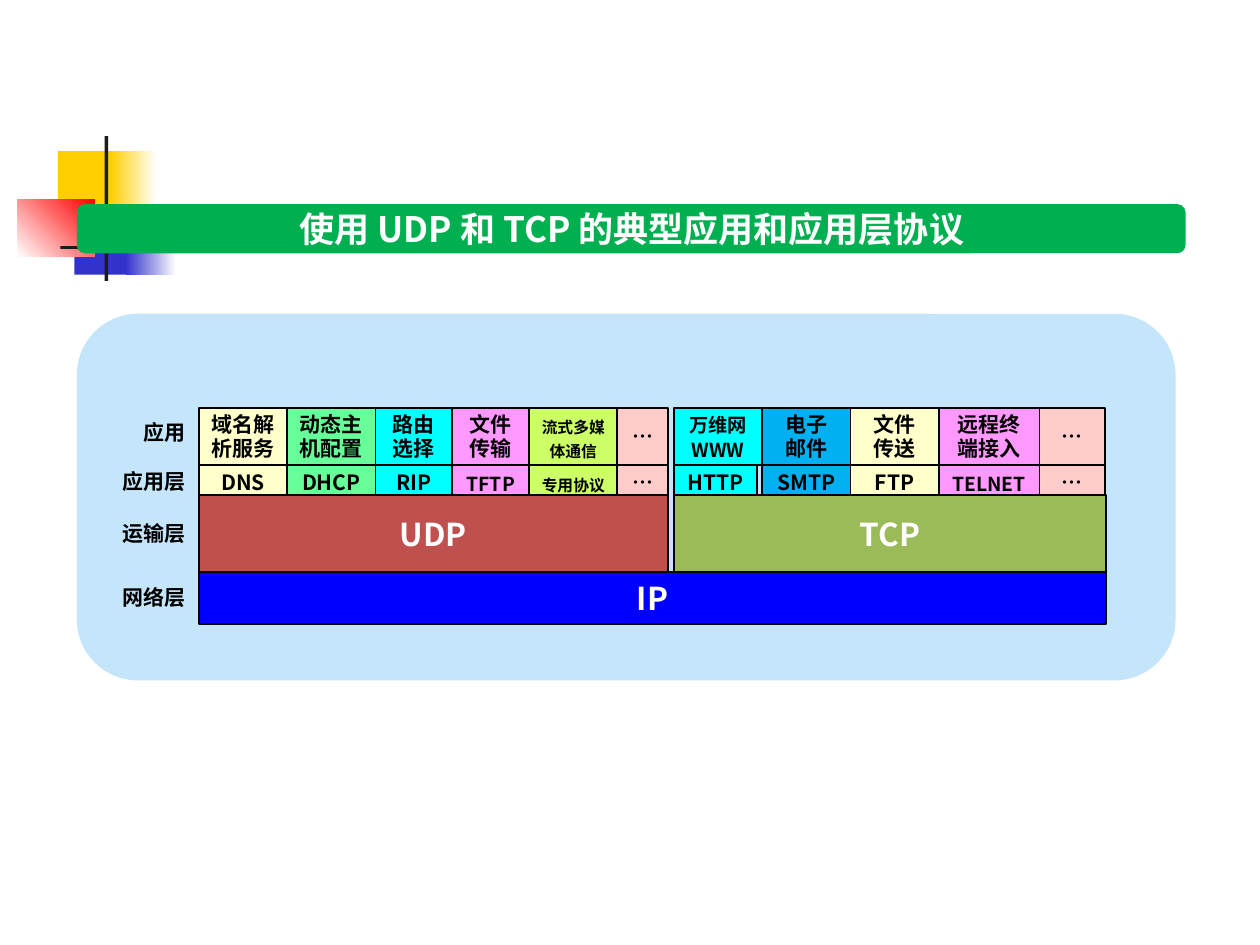
from itertools import accumulate
from lxml import etree
from pptx import Presentation
from pptx.dml.color import RGBColor
from pptx.enum.shapes import MSO_SHAPE
from pptx.enum.text import MSO_ANCHOR, PP_ALIGN
from pptx.oxml.ns import qn
from pptx.util import Inches, Pt

RECT, ROUND = MSO_SHAPE.RECTANGLE, MSO_SHAPE.ROUNDED_RECTANGLE
TOP, MIDDLE, BOTTOM = MSO_ANCHOR.TOP, MSO_ANCHOR.MIDDLE, MSO_ANCHOR.BOTTOM
CENTER, RIGHT = PP_ALIGN.CENTER, PP_ALIGN.RIGHT

BLACK = RGBColor(0x00, 0x00, 0x00)
WHITE = RGBColor(0xFF, 0xFF, 0xFF)
GOLD = RGBColor(0xFF, 0xCF, 0x01)
NAVY = RGBColor(0x33, 0x33, 0xCC)
RED = RGBColor(0xFF, 0x00, 0x00)
INK = RGBColor(0x1C, 0x1C, 0x1C)
GREEN = RGBColor(0x00, 0xB0, 0x50)
PALE = RGBColor(0xC5, 0xE5, 0xFB)
BLUE = RGBColor(0x00, 0x00, 0xFF)
OLIVE = RGBColor(0x9B, 0xBB, 0x59)
BRICK = RGBColor(0xC0, 0x50, 0x4D)
CREAM = RGBColor(0xFF, 0xFF, 0xCC)
MINT = RGBColor(0x66, 0xFF, 0x99)
AQUA = RGBColor(0x00, 0xFF, 0xFF)
ROSE = RGBColor(0xFF, 0xCC, 0xCC)
PINK = RGBColor(0xFF, 0x99, 0xFF)
LIME = RGBColor(0xCC, 0xFF, 0x66)
SKY = RGBColor(0x00, 0xB0, 0xF0)

FACE = "Noto Sans CJK SC"
APP, PROTO, TRANS, NET, BASE = 3.24, 3.61, 3.93, 4.54, 4.95
LEFT, END = 1.58, 8.78

deck = Presentation()
deck.slide_width, deck.slide_height = Inches(10), Inches(7.5)
slide = deck.slides.add_slide(deck.slide_layouts[5])
shapes = slide.shapes


def draw(kind, spot, fill, edge=False, angle=0):
    shape = shapes.add_shape(kind, *map(Inches, spot))
    shape.shadow.inherit = False
    if isinstance(fill, tuple) and not isinstance(fill, RGBColor):
        shape.fill.gradient()
        shape.fill.gradient_angle = angle
        for stop, color in zip(shape.fill.gradient_stops, fill):
            stop.color.rgb = color
    else:
        shape.fill.solid()
        shape.fill.fore_color.rgb = fill
    if edge:
        shape.line.color.rgb = BLACK
        shape.line.width = Pt(1)
    else:
        shape.line.fill.background()
    return shape


def write(shape, text, size, color=BLACK, align=CENTER, lead=None, **frame):
    body = shape.text_frame
    body.text = text
    for key, value in {"word_wrap": True, "vertical_anchor": MIDDLE, **frame}.items():
        setattr(body, key, value)
    for para in body.paragraphs:
        para.alignment = align
        if lead:
            para.line_spacing = Pt(lead)
        for run in para.runs:
            for key, value in {"name": FACE, "bold": True, "size": Pt(size)}.items():
                setattr(run.font, key, value)
            run.font.color.rgb = color
            etree.SubElement(run.font._element, qn("a:ea"), typeface=FACE)


for spot, fill, angle in (
    ((0.46, 1.2, 0.48, 0.52), GOLD, 0),
    ((0.88, 1.2, 0.36, 0.52), (GOLD, WHITE), 0),
    ((0.59, 1.66, 0.46, 0.52), NAVY, 0),
    ((1, 1.66, 0.4, 0.52), (NAVY, WHITE), 0),
    ((0.14, 1.58, 0.61, 0.46), (WHITE, RED), 45),
    ((0.83, 1.08, 0.03, 1.15), INK, 0),
    ((0.48, 1.95, 9, 0.03), (INK, WHITE), 0),
):
    draw(RECT, spot, fill, angle=angle)

draw(ROUND, (0.61, 1.62, 8.8, 0.39), GREEN)
title = shapes.title
shapes._spTree.append(title._element)
for key, value in zip(("left", "top", "width", "height"), (2.2, 1.59, 5.63, 0.44)):
    setattr(title, key, Inches(value))
write(title, "使用 UDP 和 TCP 的典型应用和应用层协议", 20, WHITE,
      margin_left=0, margin_right=0)

draw(ROUND, (0.61, 2.49, 8.72, 2.91), PALE)
for text, left, top, right, foot, fill in (
    ("IP", LEFT, NET, END, BASE, BLUE),
    ("TCP", 5.35, TRANS, END, NET, OLIVE),
    ("UDP", LEFT, TRANS, 5.3, NET, BRICK),
):
    write(draw(RECT, (left, top, right - left, foot - top), fill, True), text, 18, WHITE)

for text, top in (("应用", 3.28), ("应用层", 3.67), ("运输层", 4.08), ("网络层", 4.59)):
    label = shapes.add_textbox(*map(Inches, (0.69, top, 0.88, 0.3)))
    write(label, text, 12, align=RIGHT, vertical_anchor=TOP)

UDP = (
    (0.7, CREAM, "域名解析服务", 12, "DNS", 12, 12),
    (0.7, MINT, "动态主机配置", 12, "DHCP", 12, 12),
    (0.61, AQUA, "路由\n选择", 12, "RIP", 12, 12),
    (0.61, PINK, "文件传输", 12, "TFTP", 11, 12),
    (0.7, LIME, "流式多媒体通信", 9, "专用协议", 9, 12),
    (0.4, ROSE, "…", 12, "…", 12, 12),
)
TCP = (
    (0.7, AQUA, "万维网\nWWW", 11, "HTTP", 12, 14),
    (0.7, SKY, "电子\n邮件", 12, "SMTP", 12, 14),
    (0.7, CREAM, "文件\n传送", 12, "FTP", 12, 14),
    (0.8, PINK, "远程终端接入", 12, "TELNET", 11, 12),
    (0.52, ROSE, "…", 12, "…", 12, 14),
)
for start, cells in ((LEFT, UDP), (5.35, TCP)):
    lefts = accumulate((cell[0] for cell in cells), initial=start)
    for left, (wide, fill, app, big, proto, small, lead) in zip(lefts, cells):
        span = 0.66 if proto == "HTTP" else wide
        low = draw(RECT, (left, PROTO, span, TRANS - PROTO), fill, True)
        write(low, proto, small, lead=lead, vertical_anchor=BOTTOM, margin_bottom=0)
        high = draw(RECT, (left, APP, wide, 0.45), fill, True)
        write(high, app, big, lead=14)

deck.save("out.pptx")
